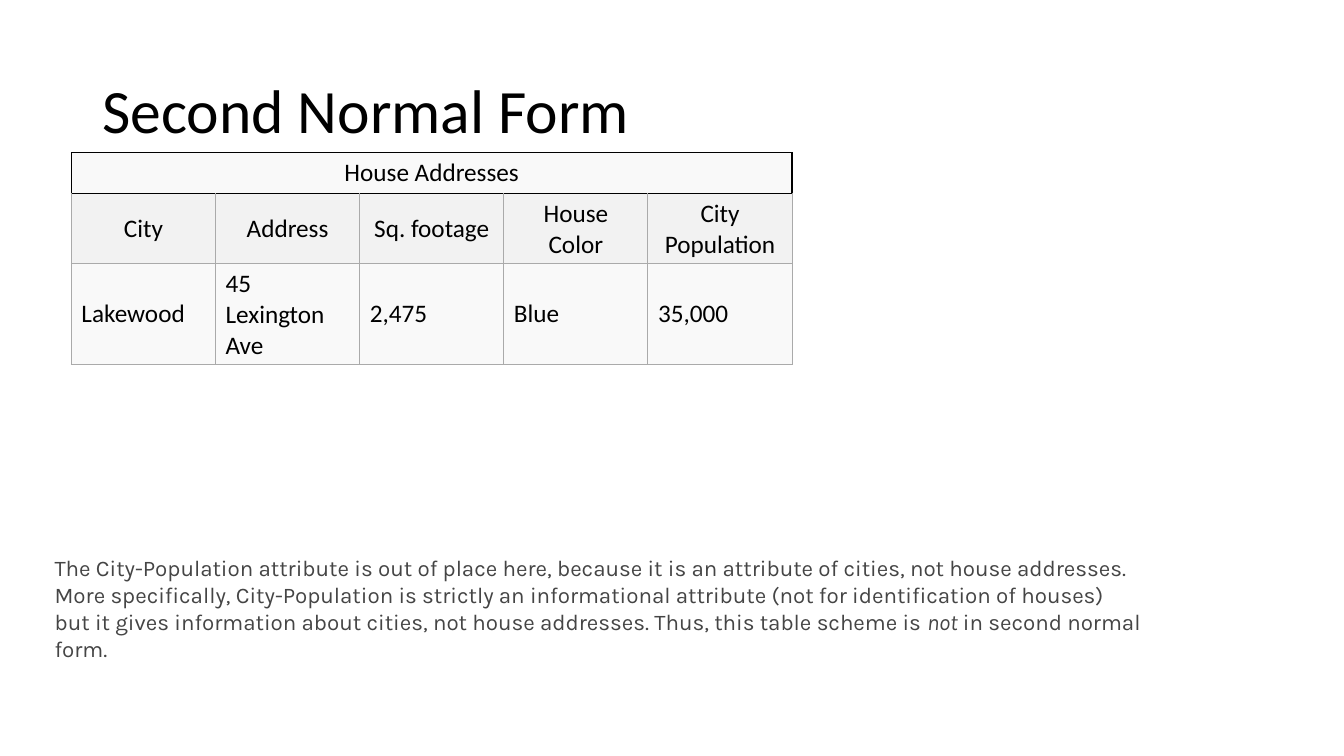
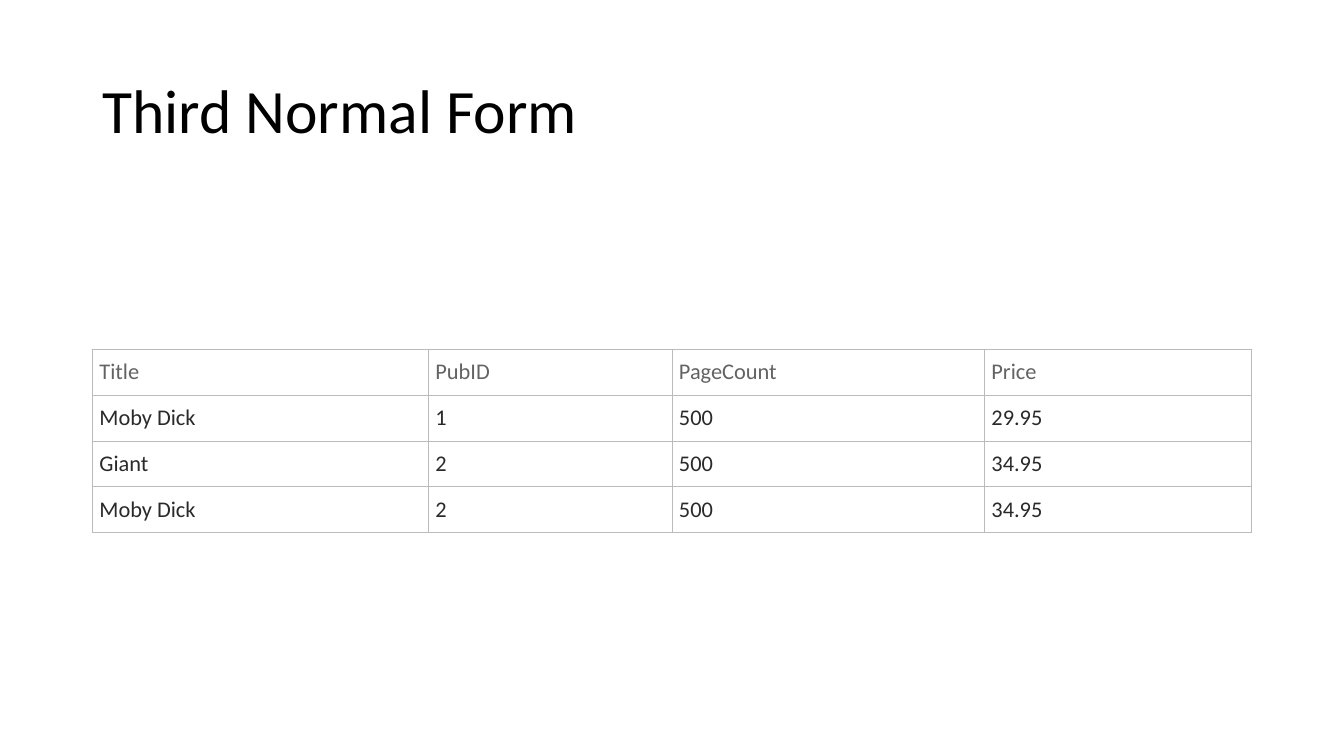
from lxml import etree
from pptx import Presentation, util as u
from pptx.dml.color import RGBColor
from pptx.enum import text
from pptx.oxml.ns import qn

COLS, ROWS = 160, 90
UNIT = u.Inches(13.33) / COLS
COLOURS = {
    "title": "000000", "body": "454545", "banner": "F9F9F9",
    "heading": "F2F2F2", "house_grid": "AAAAAA", "book_grid": "BBBBBB",
    "book_heading": "636363", "book": "2A2A2A",
}
MAIN_FONT, NOTE_FONT = "Calibri", "Karla"
LEFT, CENTER = text.PP_ALIGN.LEFT, text.PP_ALIGN.CENTER
MIDDLE, TOP = text.MSO_ANCHOR.MIDDLE, text.MSO_ANCHOR.TOP
MARGIN, CONTENT_WIDTH = 11, 138

HOUSES = [
    ["House Addresses", "", "", "", ""],
    ["City", "Address", "Sq. footage", "House Color", "City Population"],
    ["Lakewood", "45 Lexington Ave", "2,475", "Blue", "35,000"],
]
BOOKS = [
    ["Title", "PubID", "PageCount", "Price"],
    ["Moby Dick", "1", "500", "29.95"],
    ["Giant", "2", "500", "34.95"],
    ["Moby Dick", "2", "500", "34.95"],
]
NOTE = [
    [("The City-Population attribute is out of place here, because it is an "
      "attribute of cities, not house addresses.", False)],
    [("More specifically, City-Population is strictly an informational "
      "attribute (not for identification of houses)", False)],
    [("but it gives information about cities, not house addresses. "
      "Thus, this table scheme is ", False),
     ("not", True), (" in second normal form.", False)],
]


def grid(n):
    """Length of n grid units; columns and rows share one unit."""
    return round(n * UNIT)


def set_font(p, size, colour, name=MAIN_FONT):
    p.font.size = u.Pt(size)
    p.font.name = name
    p.font.color.rgb = RGBColor.from_string(COLOURS[colour])


def add_text_box(s, x, y, w, h):
    tf = s.shapes.add_textbox(*map(grid, (x, y, w, h))).text_frame
    tf.word_wrap = True
    tf.vertical_anchor = MIDDLE
    return tf


def add_titled_slide(prs, title):
    s = prs.slides.add_slide(prs.slide_layouts[6])
    p = add_text_box(s, MARGIN, 4.8, CONTENT_WIDTH, 17.4).paragraphs[0]
    p.text = title
    p.line_spacing = 0.9
    set_font(p, 44, "title")
    return s


def add_note(s, x, y, w, h, paragraphs):
    tf = add_text_box(s, x, y, w, h)
    tf.margin_left = tf.margin_right = tf.margin_top = tf.margin_bottom = 0
    for i, runs in enumerate(paragraphs):
        p = tf.add_paragraph() if i else tf.paragraphs[0]
        set_font(p, 16, "body", NOTE_FONT)
        for words, italic in runs:
            r = p.add_run()
            r.text = words
            if italic:
                r.font.italic = True


def add_border(cell, side, line):
    colour, width = line
    ln = etree.SubElement(cell._tc.get_or_add_tcPr(), qn(f"a:ln{side}"),
                          w=str(u.Pt(width)))
    fill = etree.SubElement(ln, qn("a:solidFill"))
    etree.SubElement(fill, qn("a:srgbClr"), val=COLOURS[colour])


def fill_cell(cell, colour):
    if colour:
        cell.fill.solid()
        cell.fill.fore_color.rgb = RGBColor.from_string(COLOURS[colour])
    else:
        cell.fill.background()


def add_table(s, x, y, widths, heights, data, styles, size, anchor, margins=None):
    """Draw data; styles gives each row (text colour, fill, alignment, border)."""
    table = s.shapes.add_table(len(data), len(widths), grid(x), grid(y),
                               grid(sum(widths)), grid(sum(heights))).table
    table.first_row = table.horz_banding = False
    for column, width in zip(table.columns, widths):
        column.width = grid(width)
    for i, (row, height, values, style) in enumerate(
            zip(table.rows, heights, data, styles)):
        row.height = grid(height)
        colour, fill, align, line = style
        upper_line = styles[max(i - 1, 0)][3]
        for cell, value in zip(row.cells, values):
            for side in "LRTB":
                add_border(cell, side, upper_line if side == "T" else line)
            fill_cell(cell, fill)
            cell.vertical_anchor = anchor
            if margins:
                cell.margin_left = cell.margin_right = u.Inches(margins[0])
                cell.margin_top = cell.margin_bottom = u.Inches(margins[1])
            p = cell.text_frame.paragraphs[0]
            p.text = value
            p.alignment = align
            set_font(p, size, colour)
    return table


def add_second_form(prs):
    s = add_titled_slide(prs, "Second Normal Form")
    add_note(s, 6.5, 66, 131.8, 12.8, NOTE)
    line = ("house_grid", 0.75)
    styles = [("title", "banner", CENTER, ("title", 1)),
              ("title", "heading", CENTER, line),
              ("title", "banner", LEFT, line)]
    table = add_table(s, 8.5, 18.2, [17.16] * 5, [4.8, 8.4, 12], HOUSES,
                      styles, 18, MIDDLE)
    table.cell(0, 0).merge(table.cell(0, 4))


def add_third_form(prs):
    s = add_titled_slide(prs, "Third Normal Form")
    line = ("book_grid", 0.75)
    styles = [("book_heading", None, LEFT, line)] + [("book", None, LEFT, line)] * 3
    add_table(s, MARGIN, 41.6, [40, 29, 37.2, 31.8], [5.45] * 4, BOOKS,
              styles, 16, TOP, (0.07, 0.09))


def main():
    prs = Presentation()
    prs.slide_width, prs.slide_height = grid(COLS), grid(ROWS)
    add_second_form(prs)
    add_third_form(prs)
    prs.save("out.pptx")


if __name__ == "__main__":
    main()
